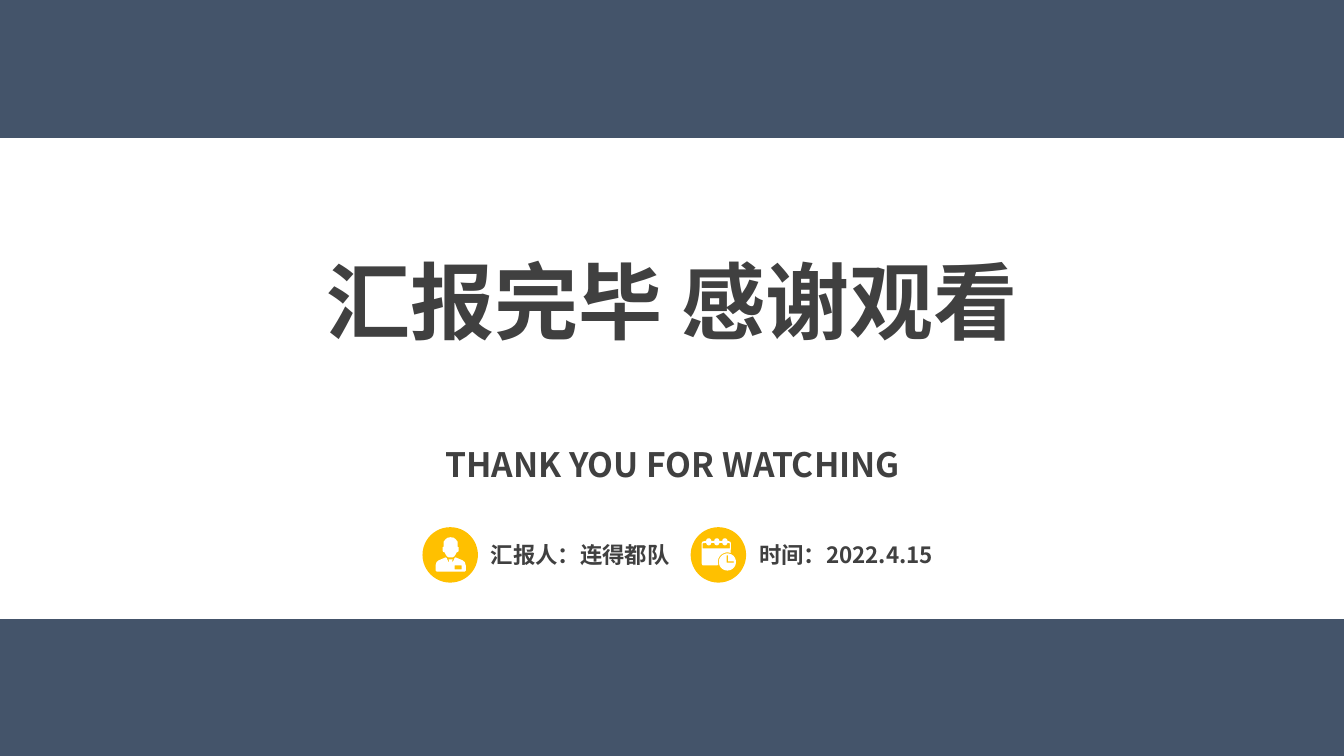
from math import cos, radians, sin

from lxml.etree import SubElement
from pptx import Presentation
from pptx.dml.color import RGBColor
from pptx.enum.shapes import MSO_SHAPE
from pptx.enum.text import MSO_AUTO_SIZE, PP_ALIGN
from pptx.oxml.ns import qn
from pptx.util import Inches, Pt

FONT = "Noto Sans CJK SC"
HUES = {"navy": "44546A", "white": "FFFFFF", "gold": "FFC000", "dark": "404040"}
WIDE, HIGH = Inches(13.33), Inches(7.5)
DISC_TOP, DISC_SIZE = 5.23, 0.55


def paint(shape, hue):
    shape.shadow.inherit = False
    shape.fill.solid()
    shape.fill.fore_color.rgb = RGBColor.from_string(HUES[hue])
    shape.line.fill.background()


def arc(x, y, r, start, end, step=10):
    """Points on a circle; angles run clockwise from the right."""
    return [(x + r * cos(radians(a)), y + r * sin(radians(a)))
            for a in range(start, end, step)]


deck = Presentation()
deck.slide_width, deck.slide_height = WIDE, HIGH
slide = deck.slides.add_slide(deck.slide_layouts[6])
shapes = slide.shapes

# Background and white band
back = slide.background.fill
back.solid()
back.fore_color.rgb = RGBColor.from_string(HUES["navy"])
band = shapes.add_shape(MSO_SHAPE.RECTANGLE, 0, Inches(1.37), WIDE, Inches(4.77))
paint(band, "white")

# Icon outlines are in hundredths of an inch: x from the icon's axis,
# y from the top of its disc. An outline inside another cuts a hole.

# Person: the right halves of head and body are mirrored on the axis
head_half = [(0, 10), (3, 10.5), (5, 12), (7, 14.5), (7, 19.5), (8, 20), (8, 23),
             (7.5, 24.5), (6, 25), (5, 27), (3.7, 29), (2, 30)]
body_half = [(2, 32), (1.5, 33.5), (2, 35), (4, 30.5), (5, 30), (12, 33),
             (14, 34.7), (15, 38), (15, 43), (14, 44)]
badge = [(4, 38), (11, 38), (11, 42), (4, 42)]
person = [badge]
for half in (head_half, body_half):
    person.append(half + [(-x, y) for x, y in reversed(half)])

# Calendar: each ring rises above the sheet and dips into its header
ring_gap, ring_r = 8, 2.5
clock_x, clock_y, clock_r = 10.5, 34.5, 8.5
sheet = [(-15, 16), (-14.5, 14.5), (-13, 14)]
header = [(-14, 21), (-14, 16)]
for n in (-1, 0, 1):
    ring_x = n * ring_gap
    sheet += arc(ring_x, 13.5, ring_r, 180, 361)
    header += reversed(arc(ring_x, 15.5, ring_r, 0, 181))
header += [(13, 16), (13, 21)]
sheet += [(12, 14), (13.5, 14.5), (14, 16)]
sheet += reversed(arc(clock_x, clock_y, clock_r + 1, 160, 291))
sheet += [(-13, 38), (-14.5, 37.5), (-15, 36)]
clock = arc(clock_x, clock_y, clock_r, 0, 360)

# Clock hands: an L shape whose corner is the middle of the clock
hands = [(clock_x + x, clock_y + y) for x, y in (
    (-0.7, -6.5), (0.7, -6.5), (0.7, -0.7), (6.5, -0.7), (6.5, 0.7), (-0.7, 0.7))]
calendar = [hands, clock, header, sheet]

# Gold discs, each with its white icon
for disc_left, axis, icon in ((4.19, 4.47, person), (6.85, 7.11, calendar)):
    disc = shapes.add_shape(MSO_SHAPE.OVAL, Inches(disc_left), Inches(DISC_TOP),
                            Inches(DISC_SIZE), Inches(DISC_SIZE))
    paint(disc, "gold")
    pen = None
    for outline in icon:
        points = [(Inches(axis + x / 100), Inches(DISC_TOP + y / 100))
                  for x, y in outline]
        if pen is None:
            pen = shapes.build_freeform(*points[0])
        else:
            pen.move_to(*points[0])
        pen.add_line_segments(points[1:], close=True)
    paint(pen.convert_to_shape(), "white")

# Text: wording, box (left, top, width, height), size, alignment, wrap
MID, LEFT = PP_ALIGN.CENTER, PP_ALIGN.LEFT
lines = (
    ("汇报完毕 感谢观看", (2.19, 2.43, 8.95, 1.11), 60, MID, True),
    ("THANK YOU FOR WATCHING", (4.1, 4.35, 5.14, 0.5), 24, MID, False),
    ("汇报人：连得都队", (4.77, 5.32, 2, 0.37), 16, LEFT, False),
    ("时间：2022.4.15", (7.43, 5.32, 2.05, 0.37), 16, LEFT, False),
)
for words, box, size, align, wrap in lines:
    frame = shapes.add_textbox(*map(Inches, box)).text_frame
    frame.word_wrap = wrap
    frame.auto_size = MSO_AUTO_SIZE.SHAPE_TO_FIT_TEXT
    para = frame.paragraphs[0]
    para.alignment = align
    run = para.add_run()
    run.text = words
    style = {"name": FONT, "size": Pt(size), "bold": True}
    for key, value in style.items():
        setattr(run.font, key, value)
    run.font.color.rgb = RGBColor.from_string(HUES["dark"])
    # The Chinese glyphs take their font from a:ea
    SubElement(run._r.get_or_add_rPr(), qn("a:ea"), typeface=FONT)

deck.save("out.pptx")
